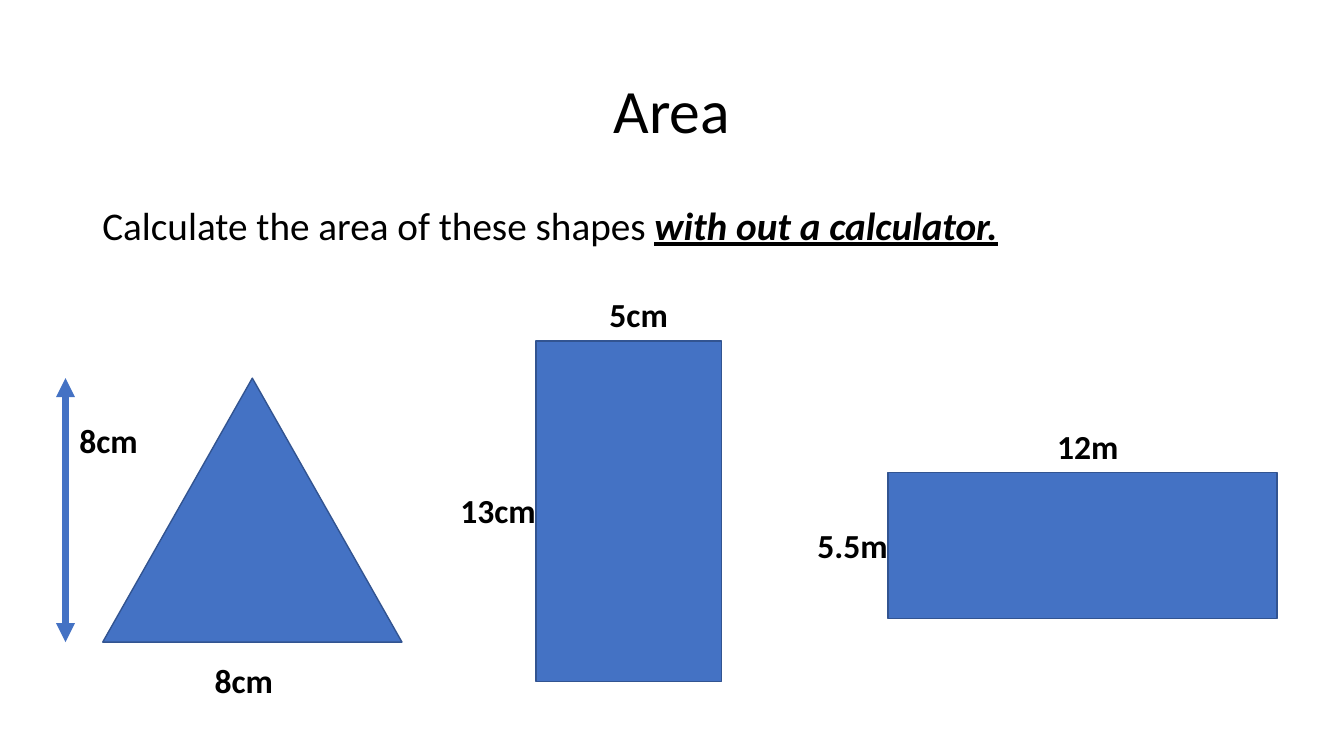
from lxml import etree
from pptx import Presentation
from pptx import util as u
from pptx.dml.color import RGBColor
from pptx.enum import shapes, text
from pptx.oxml.ns import qn

BLACK = RGBColor(0x00, 0x00, 0x00)
BLUE = RGBColor(0x44, 0x72, 0xC4)
OUTLINE = RGBColor(0x32, 0x54, 0x91)
FONT = "Calibri"

TITLE = "Area"
TASK = [("Calculate the area of these shapes ", False), ("with out a calculator.", True)]
TRIANGLE = (2.59, 9.53, 7.54, 6.65)
FIGURES = [
    (shapes.MSO_SHAPE.ISOSCELES_TRIANGLE, TRIANGLE),
    (shapes.MSO_SHAPE.RECTANGLE, (13.51, 8.59, 4.67, 8.59)),
    (shapes.MSO_SHAPE.RECTANGLE, (22.38, 11.91, 9.8, 3.68)),
]
LABELS = [
    ("8cm", 5.16, 16.51),
    ("5cm", 15.11, 7.29),
    ("13cm", 11.35, 12.22),
    ("12m", 26.39, 10.62),
    ("5.5m", 20.35, 13.11),
    ("8cm", 1.75, 10.46),
]
LABEL_SIZE = (2.41, 1.27)
HEIGHT_ARROW_X = 1.65


def add_text(s, box, runs, size, spacing=1.0):
    tf = s.shapes.add_textbox(*map(u.Cm, box)).text_frame
    tf.word_wrap = True
    p = tf.paragraphs[0]
    p.line_spacing = spacing
    for words, bold in runs:
        r = p.add_run()
        r.text = words
        r.font.name = FONT
        r.font.size = u.Pt(size)
        r.font.color.rgb = BLACK
        r.font.bold = bold
    return tf


def add_figure(s, kind, box):
    sp = s.shapes.add_shape(kind, *map(u.Cm, box))
    sp.shadow.inherit = False
    sp.fill.solid()
    sp.fill.fore_color.rgb = BLUE
    sp.line.color.rgb = OUTLINE
    sp.line.width = u.Pt(1)


def add_height_arrow(s, x, top, bottom):
    arrow = s.shapes.add_connector(
        shapes.MSO_CONNECTOR.STRAIGHT, u.Cm(x), u.Cm(bottom), u.Cm(x), u.Cm(top))
    arrow.line.color.rgb = BLUE
    arrow.line.width = u.Pt(4.5)
    ln = arrow.line._get_or_add_ln()
    for end in ("a:headEnd", "a:tailEnd"):
        etree.SubElement(ln, qn(end), type="triangle")
    etree.SubElement(arrow._element.spPr, qn("a:effectLst"))


def main():
    prs = Presentation()
    prs.slide_width, prs.slide_height = u.Cm(33.87), u.Cm(19.05)
    s = prs.slides.add_slide(prs.slide_layouts[6])

    tf = add_text(s, (2.33, 1.01, 29.21, 3.68), [(TITLE, False)], 44, 0.9)
    tf.vertical_anchor = text.MSO_ANCHOR.MIDDLE
    tf.paragraphs[0].alignment = text.PP_ALIGN.CENTER

    tf = add_text(s, (2.33, 5.07, 29.21, 12.09), TASK, 28, 0.9)
    emphasis = tf.paragraphs[0].runs[1].font
    emphasis.italic = True
    emphasis.underline = True

    for kind, box in FIGURES:
        add_figure(s, kind, box)
    _, top, _, height = TRIANGLE
    add_height_arrow(s, HEIGHT_ARROW_X, top, top + height)
    for words, x, y in LABELS:
        add_text(s, (x, y, *LABEL_SIZE), [(words, True)], 24)

    prs.save("out.pptx")


if __name__ == "__main__":
    main()
